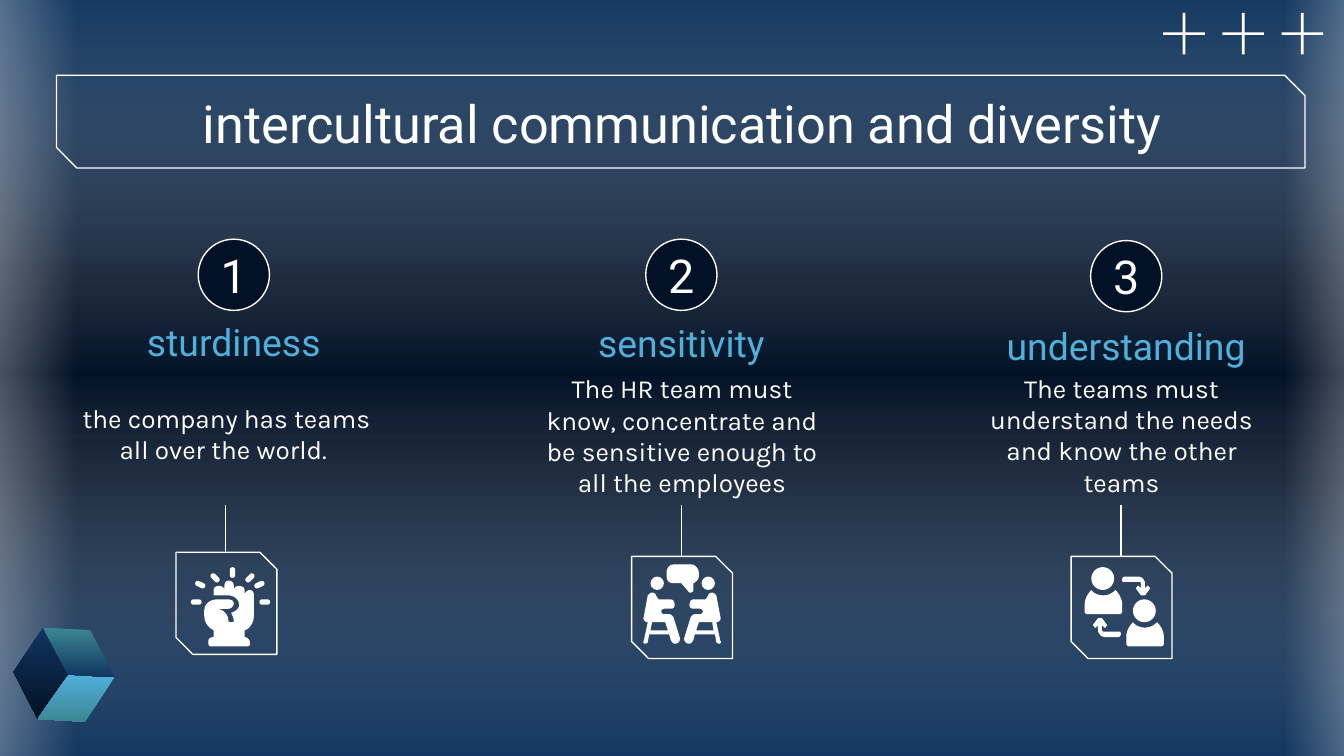
from dataclasses import dataclass
from typing import NamedTuple

from lxml.etree import SubElement
from pptx import Presentation
from pptx.dml.color import RGBColor
from pptx.enum.shapes import MSO_CONNECTOR, MSO_SHAPE
from pptx.enum.text import MSO_ANCHOR, MSO_AUTO_SIZE, PP_ALIGN
from pptx.oxml.ns import qn
from pptx.shapes.autoshape import Shape
from pptx.util import Inches, Pt

WHITE, NAVY, NIGHT, SKY, TEAL = "FFFFFF", "10355F", "031126", "51AFDB", "3B8794"


class Stop(NamedTuple):
    pos: int
    color: str
    alpha: int = 100


class Map(NamedTuple):
    """Scale and shift of an outline, in hundredths of an inch."""
    sx: int = 1
    sy: int = 1
    dx: int = 0
    dy: int = 0


@dataclass
class Column:
    num: str
    head: str
    text: str
    mid: float    # centre of circle and heading
    axis: float   # centre of text, stem and frame
    ring: float   # top of circle
    top: float    # top of heading
    wide: float
    foot: float   # top of frame
    tall: float   # height of text


COLUMNS = [
    Column("1", "sturdiness", "the company has teams all over the world. ",
           1.74, 1.68, 1.78, 2.45, 1.92, 4.11, 1.03),
    Column("2", "sensitivity", "The HR team must know, concentrate and be "
           "sensitive enough to all the employees",
           5.07, 5.07, 1.78, 2.46, 1.92, 4.14, 1.06),
    Column("3", "understanding", "The teams must understand the needs and "
           "know the other teams",
           8.38, 8.34, 1.79, 2.48, 2.46, 4.14, 1.05),
]

# Outlines in hundredths of an inch: M starts, L is a line, C is a curve.
FIST = """M170,432 C168,432,167,434,167,436 L167,439 C167,437,165,436,163,436
C161,436,159,437,159,439 L159,443 L170,443 C174,443,178,446,178,450
C178,453,175,455,172,456 C173,458,174,460,174,462 C174,463,173,463,172,463
C171,463,170,463,170,462 C170,457,166,453,161,453 L170,453
C172,453,174,451,174,449 C174,447,172,446,170,446 L161,446
C156,446,152,450,152,454 L152,458 C152,463,155,467,159,469 L159,474
C157,474,155,475,155,477 L155,479 C155,480,156,481,157,481 L183,481
C185,481,186,480,186,480 L186,478 C186,476,184,474,182,474 L182,469
C186,468,189,463,189,458 L189,443 C189,441,188,439,186,439
C184,439,182,441,182,443 L182,439 C182,437,180,436,178,436
C176,436,174,437,174,439 L174,436 C174,434,173,432,170,432"""
BUBBLE = """M501,420 C498,420,496,423,496,426 L496,429 C496,432,498,434,501,434
L507,434 L513,441 C514,441,516,441,516,439 L516,434 C518,433,520,431,520,429
L520,426 C520,423,517,420,515,420"""
SITTER = """M495,463 L497,469 L484,469 L485,464 L485,463
M485,441 C484,441,483,442,482,443 L479,459 C478,461,480,463,482,463 L479,477
C478,478,479,479,480,479 C481,479,482,478,482,478 L483,472 L498,472 L499,476
C500,478,501,479,502,479 C505,479,506,477,506,475 L501,459
C500,458,499,457,498,457 L494,457 C493,457,492,456,492,455
C492,454,493,453,494,453 L499,453 C501,453,502,452,502,450
C502,448,501,446,499,446 L490,446 L488,443 C488,442,487,441,485,441"""
BUST = """M812,439 C809,442,807,446,807,450 L807,455 C807,456,808,457,809,457
L833,457 C834,457,835,456,835,455 L835,450 C835,446,833,442,830,439
C827,442,824,443,821,443 C818,443,814,442,812,439"""
ARROW = """M837,429 C836,429,835,430,835,431 C835,432,835,433,836,433 L847,433
C848,433,849,433,849,434 L849,437 L848,437 C848,436,846,435,846,437
C845,437,845,438,846,439 L849,443 C850,443,851,443,852,443 L855,439
C856,438,856,437,855,437 C855,436,853,435,853,437 L852,437 L852,434
C852,432,850,429,847,429"""
CUBE = [
    ("M32,467 L10,500 L28,535 L51,502", NAVY, NIGHT),
    ("M51,502 L85,504 L63,537 L28,535", SKY, TEAL),
    ("M32,467 L67,469 L85,504 L51,502", TEAL, NAVY),
]
RAYS = [(1.73, 4.26, 90), (1.86, 4.3, -45), (1.97, 4.48, 0), (1.46, 4.48, 0),
        (1.6, 4.3, 45), (1.49, 4.35, 25), (1.93, 4.35, -25)]


def rgb(color: str) -> RGBColor:
    return RGBColor.from_string(color)


def paint(shape: Shape, fill: str | None = WHITE, line: str | None = None) -> Shape:
    shape.shadow.inherit = False
    if fill:
        shape.fill.solid()
        shape.fill.fore_color.rgb = rgb(fill)
    else:
        shape.fill.background()
    if line:
        shape.line.color.rgb = rgb(line)
        shape.line.width = Pt(0.75)
    else:
        shape.line.fill.background()
    return shape


def grade(root, stops: list[Stop], angle: int = 90) -> None:
    """Turn the first solid fill under root into a gradient."""
    old = root.find(".//" + qn("a:solidFill"))
    grad = SubElement(old.getparent(), qn("a:gradFill"))
    old.getparent().replace(old, grad)
    row = SubElement(grad, qn("a:gsLst"))
    for stop in stops:
        mark = SubElement(row, qn("a:gs"), pos=str(stop.pos * 1000))
        tint = SubElement(mark, qn("a:srgbClr"), val=stop.color)
        SubElement(tint, qn("a:alpha"), val=str(stop.alpha * 1000))
    SubElement(grad, qn("a:lin"), ang=str(angle * 60000), scaled="0")


def write(shape: Shape, text: str, size: float, color: str = WHITE, face: str = "Roboto",
          anchor: MSO_ANCHOR = MSO_ANCHOR.MIDDLE, pad: float = 0.1) -> None:
    frame = shape.text_frame
    style = {"word_wrap": True, "auto_size": MSO_AUTO_SIZE.NONE, "vertical_anchor": anchor}
    style |= {f"margin_{side}": Inches(pad) for side in ("left", "right", "top", "bottom")}
    for key, value in style.items():
        setattr(frame, key, value)
    para = frame.paragraphs[0]
    para.alignment = PP_ALIGN.CENTER
    run = para.add_run()
    run.text = text
    for key, value in {"size": Pt(size), "name": face, "bold": False}.items():
        setattr(run.font, key, value)
    run.font.color.rgb = rgb(color)


def shape_at(kind: MSO_SHAPE, *box: float) -> Shape:
    return shapes.add_shape(kind, *map(Inches, box))


def text_at(*box: float) -> Shape:
    return shapes.add_textbox(*map(Inches, box))


def snip(x: float, y: float, wide: float, tall: float, cut: float) -> None:
    frame = paint(shape_at(MSO_SHAPE.SNIP_2_DIAG_RECTANGLE, x, y, wide, tall), None, WHITE)
    frame.adjustments[0] = 0
    frame.adjustments[1] = cut


def trace(outline: str, to: Map = Map()) -> Shape:
    """Draw an outline as a white freeform, its curves cut into short lines."""
    loops = []
    for step in outline.split():
        nums = [float(n) for n in step[1:].split(",")]
        points = list(zip(nums[::2], nums[1::2]))
        if step[0] == "M":
            loops.append(points)
        elif step[0] == "L":
            loops[-1] += points
        else:
            ends = [loops[-1][-1], *points]
            for t in (0.2, 0.4, 0.6, 0.8, 1):
                parts = ((1 - t) ** 3, 3 * t * (1 - t) ** 2, 3 * t * t * (1 - t), t ** 3)
                loops[-1].append(tuple(sum(w * p[i] for w, p in zip(parts, ends))
                                       for i in (0, 1)))
    pen = None
    for loop in loops:
        spots = [(Inches((to.sx * x + to.dx) / 100), Inches((to.sy * y + to.dy) / 100))
                 for x, y in loop]
        if pen is None:
            pen = shapes.build_freeform(*spots[0])
        else:
            pen.move_to(*spots[0])
        pen.add_line_segments(spots[1:], close=True)
    return paint(pen.convert_to_shape())


def draw_column(col: Column) -> None:
    size = 0.53
    ring = paint(shape_at(MSO_SHAPE.OVAL, col.mid - size / 2, col.ring, size, size), NIGHT, WHITE)
    write(ring, col.num, 25, pad=0)
    write(text_at(col.mid - col.wide / 2, col.top, col.wide, 0.36), col.head, 20, SKY,
          anchor=MSO_ANCHOR.BOTTOM)
    write(text_at(col.axis - 1.19, 2.71, 2.39, col.tall), col.text, 14, face="Karla")
    stem = shapes.add_connector(MSO_CONNECTOR.STRAIGHT, *map(
        Inches, (col.axis, col.foot, col.axis, 3.76)))
    stem.line.color.rgb = rgb(WHITE)
    stem.line.width = Pt(0.75)
    SubElement(stem.element.spPr, qn("a:effectLst"))
    snip(col.axis - 0.37, col.foot, 0.75, 0.76, 0.167)


deck = Presentation()
deck.slide_width = Inches(10)
deck.slide_height = deck.slide_width * 9 // 16
slide = deck.slides.add_slide(deck.slide_layouts[5])
shapes = slide.shapes

slide.background.fill.solid()
grade(slide.element, [Stop(0, NAVY), Stop(37, NIGHT), Stop(63, NIGHT), Stop(100, NAVY)])
glow = [Stop(0, WHITE, 47), Stop(100, WHITE, 0)]
veil = [Stop(0, NAVY, 59), Stop(50, WHITE, 0), Stop(100, NAVY, 59)]
for box, stops, angle in [((0, -0.13, 10.21, 5.81), veil, 90),
                          ((-0.41, -0.09, 0.98, 5.8), glow, 0),
                          ((9.56, -0.13, 0.85, 5.8), glow, 180)]:
    grade(paint(shape_at(MSO_SHAPE.RECTANGLE, *box)).element, stops, angle)

snip(0.42, 0.56, 9.29, 0.69, 0.221)
title = shapes.title
title.element.getparent().append(title.element)  # in front of the glows
for key, value in {"left": 0.43, "top": 0.6, "width": 9.29, "height": 0.63}.items():
    setattr(title, key, Inches(value))
write(title, "intercultural communication and diversity", 28)

for i in range(3):
    x = 8.81 + 0.44 * i
    for wide, tall in ((0.31, 0.02), (0.02, 0.31)):
        paint(shape_at(MSO_SHAPE.RECTANGLE, x - wide / 2, 0.25 - tall / 2, wide, tall))
for face, start, end in CUBE:
    grade(trace(face).element, [Stop(0, start), Stop(100, end)])

for col in COLUMNS:
    draw_column(col)

for x, y, turn in RAYS:
    ray = paint(shape_at(MSO_SHAPE.ROUNDED_RECTANGLE, x - 0.04, y - 0.02, 0.08, 0.04))
    ray.adjustments[0] = 0.5
    ray.rotation = turn
trace(FIST)
trace(BUBBLE)
for side in (Map(), Map(sx=-1, dx=1015)):
    trace(SITTER, side)
for side in (Map(), Map(dx=31, dy=24)):
    trace(BUST, side)
for side in (Map(), Map(-1, -1, 1669, 903)):
    trace(ARROW, side)
for x, y, size in [(4.84, 4.29, 0.1), (5.22, 4.29, 0.1), (8.12, 4.22, 0.17), (8.43, 4.46, 0.17)]:
    paint(shape_at(MSO_SHAPE.OVAL, x, y, size, size))

deck.save("out.pptx")
